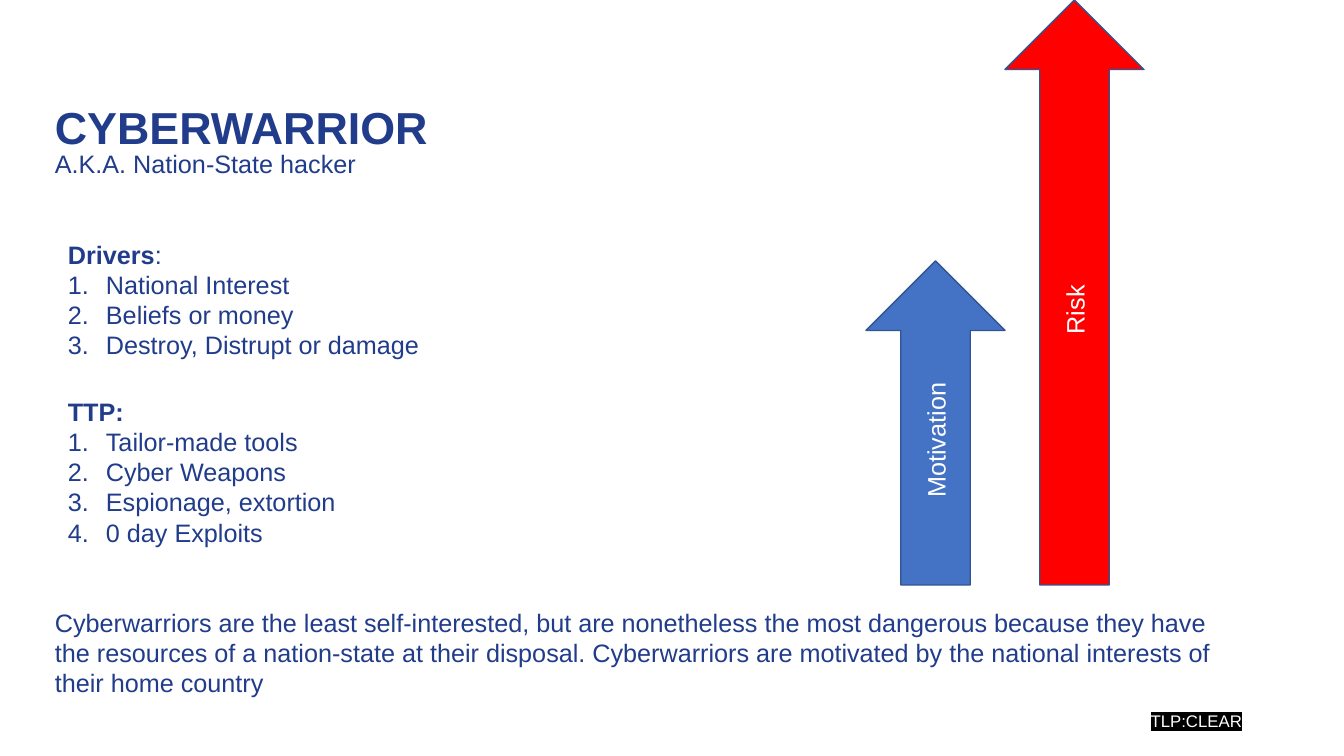
from lxml.etree import SubElement
from pptx import Presentation
from pptx.dml.color import RGBColor
from pptx.enum.shapes import MSO_SHAPE
from pptx.enum.text import MSO_ANCHOR, MSO_AUTO_SIZE, PP_ALIGN
from pptx.oxml import parse_xml
from pptx.oxml.ns import nsdecls, qn
from pptx.util import Emu, Pt

SLIDE_WIDTH, SLIDE_HEIGHT = 1344, 756
EMU_PER_PX = 914400 / 100.8
FONT_NAME = "Arial"
BODY_SIZE = 18
LIST_INDENT = 38

NAVY = RGBColor(0x20, 0x3C, 0x8A)
WHITE = RGBColor(0xFF, 0xFF, 0xFF)
BLUE = RGBColor(0x44, 0x72, 0xC4)
RED = RGBColor(0xFF, 0x00, 0x00)
OUTLINE = RGBColor(0x32, 0x54, 0x91)


def px(length):
    return Emu(round(length * EMU_PER_PX))


def format_runs(paragraph, size=BODY_SIZE, color=NAVY, bold=False):
    for run in paragraph.runs:
        run.font.size = Pt(size)
        run.font.name = FONT_NAME
        run.font.bold = bold
        run.font.color.rgb = color


def add_text(slide, box, text, size=BODY_SIZE, color=NAVY, bold=False,
             anchor=MSO_ANCHOR.TOP, wrap=True, grow=False):
    """Add a one-paragraph text box and return its text frame."""
    shape = slide.shapes.add_textbox(*map(px, box))
    text_frame = shape.text_frame
    text_frame.text = text
    text_frame.word_wrap = wrap
    text_frame.vertical_anchor = anchor
    if grow:
        text_frame.auto_size = MSO_AUTO_SIZE.SHAPE_TO_FIT_TEXT
    format_runs(text_frame.paragraphs[0], size, color, bold)
    return text_frame


def add_numbered_list(slide, box, heading, items):
    """Add a bold heading followed by numbered items."""
    text_frame = add_text(slide, box, heading, bold=True, wrap=False, grow=True)
    for item in items:
        paragraph = text_frame.add_paragraph()
        paragraph.text = item
        properties = paragraph._p.get_or_add_pPr()
        properties.set("marL", str(px(LIST_INDENT)))
        properties.set("indent", str(-px(LIST_INDENT)))
        SubElement(properties, qn("a:buFont"), typeface="+mj-lt")
        SubElement(properties, qn("a:buAutoNum"), type="arabicPeriod")
        format_runs(paragraph)
    return text_frame


def add_up_arrow(slide, box, label, color):
    """Add an upward arrow with its label reading bottom to top."""
    shape = slide.shapes.add_shape(MSO_SHAPE.UP_ARROW, *map(px, box))
    shape.shadow.inherit = False
    shape.fill.solid()
    shape.fill.fore_color.rgb = color
    shape.line.color.rgb = OUTLINE
    shape.line.width = Pt(1)
    text_frame = shape.text_frame
    text_frame.text = label
    text_frame.vertical_anchor = MSO_ANCHOR.MIDDLE
    text_frame._txBody.bodyPr.set("vert", "vert270")
    paragraph = text_frame.paragraphs[0]
    paragraph.alignment = PP_ALIGN.CENTER
    format_runs(paragraph, color=WHITE)


def add_marking(slide, box, text):
    """Add a right-aligned label highlighted in black."""
    text_frame = add_text(slide, box, text, size=12, color=WHITE,
                          anchor=MSO_ANCHOR.MIDDLE)
    paragraph = text_frame.paragraphs[0]
    paragraph.alignment = PP_ALIGN.RIGHT
    fill = paragraph.runs[0]._r.rPr.find(qn("a:solidFill"))
    fill.addnext(parse_xml(
        f'<a:highlight {nsdecls("a")}><a:srgbClr val="000000"/></a:highlight>'))


def main():
    presentation = Presentation()
    presentation.slide_width = px(SLIDE_WIDTH)
    presentation.slide_height = px(SLIDE_HEIGHT)
    slide = presentation.slides.add_slide(presentation.slide_layouts[6])

    # Title and subtitle
    title = add_text(slide, (45, 64, 943, 95), "CYBERWARRIOR", size=32,
                     bold=True, anchor=MSO_ANCHOR.BOTTOM)
    title.paragraphs[0].line_spacing = 0.9
    add_text(slide, (45, 143, 337, 40), "A.K.A. Nation-State hacker",
             wrap=False, grow=True)

    # Motivation and risk arrows, standing on one baseline
    arrow_left, arrow_width, baseline = 866, 139, 585
    arrows = [("Motivation", 261, BLUE), ("Risk", 0, RED)]
    for index, (label, top, color) in enumerate(arrows):
        left = arrow_left + index * arrow_width
        add_up_arrow(slide, (left, top, arrow_width, baseline - top), label, color)

    # Drivers and tactics
    drivers = add_numbered_list(
        slide, (58, 234, 375, 132), "Drivers",
        ["National Interest", "Beliefs or money", "Destroy, Distrupt or damage"])
    heading = drivers.paragraphs[0]
    heading.add_run().text = ":"
    format_runs(heading)
    heading.runs[0].font.bold = True
    add_numbered_list(
        slide, (58, 391, 290, 194), "TTP:",
        ["Tailor-made tools", "Cyber Weapons", "Espionage, extortion",
         "0 day Exploits"])

    # Summary and sharing label
    add_text(slide, (45, 602, 1190, 102),
             "Cyberwarriors are the least self-interested, but are nonetheless "
             "the most dangerous because they have the resources of a "
             "nation-state at their disposal. Cyberwarriors are motivated by "
             "the national interests of their home country", grow=True)
    add_marking(slide, (1139, 701, 113, 40), "TLP:CLEAR")

    presentation.save("out.pptx")


if __name__ == "__main__":
    main()
